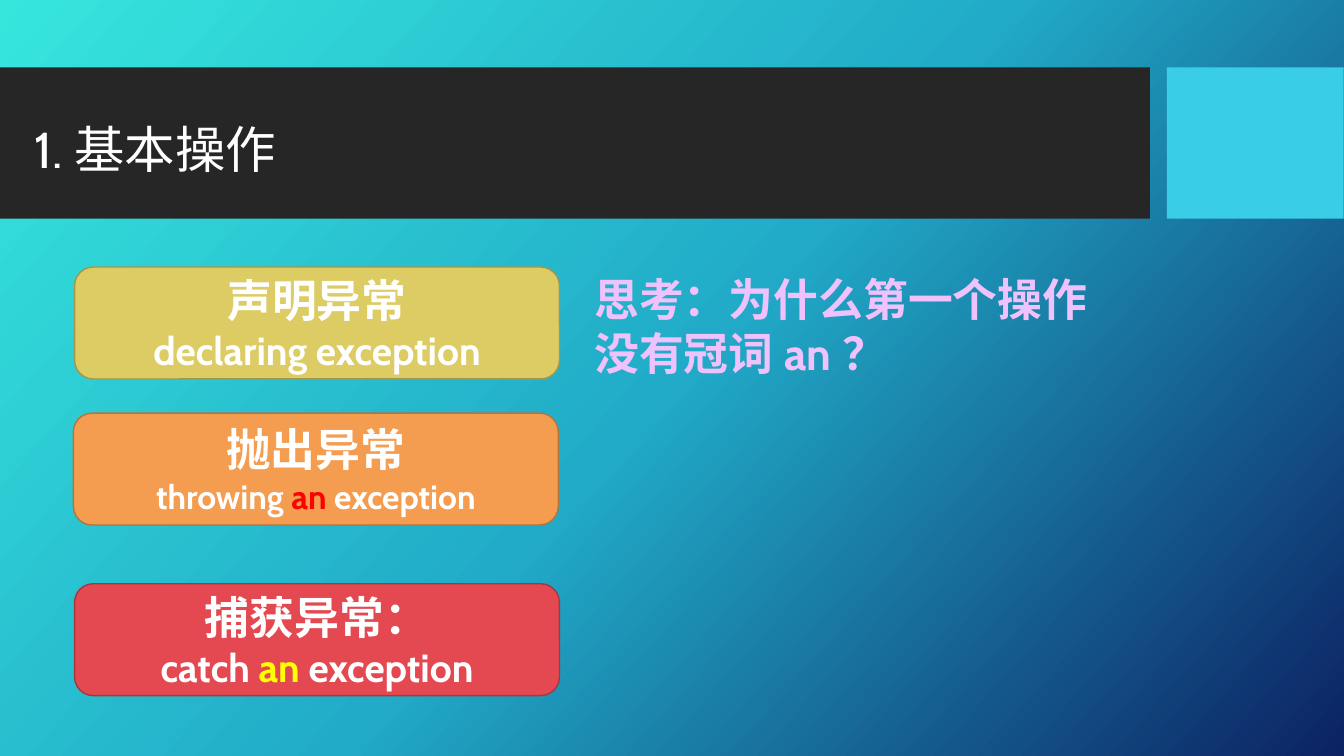
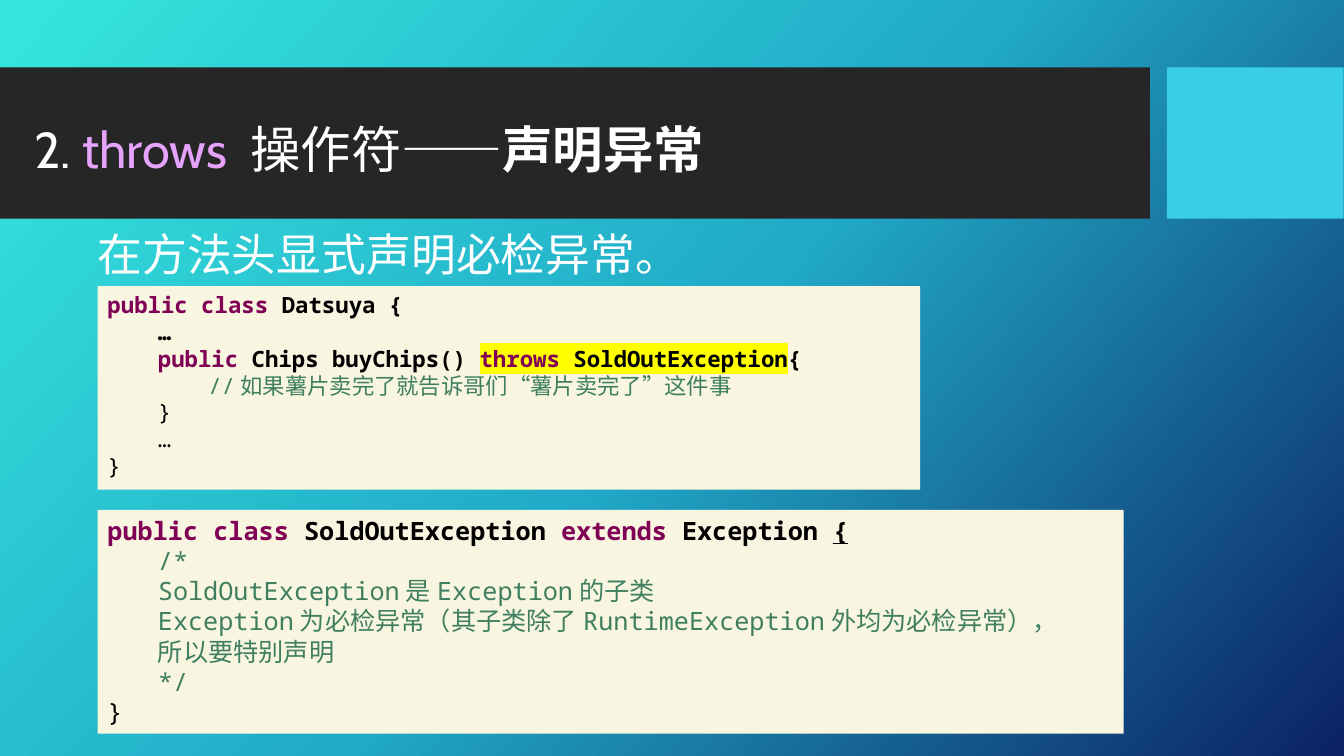
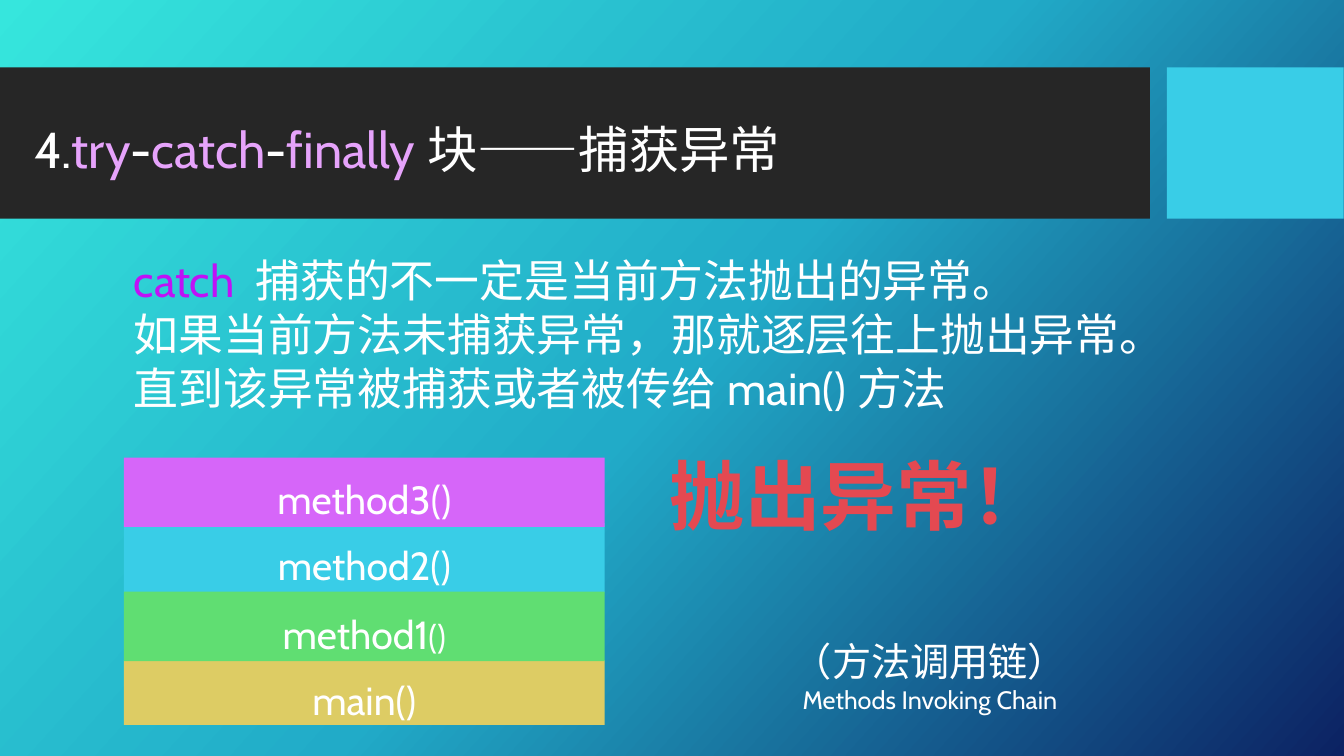
from copy import deepcopy

from pptx import Presentation
from pptx.dml.color import RGBColor
from pptx.enum.lang import MSO_LANGUAGE_ID
from pptx.enum.shapes import MSO_SHAPE
from pptx.enum.text import MSO_ANCHOR, MSO_AUTO_SIZE, PP_ALIGN
from pptx.oxml.ns import qn
from pptx.util import Cm, Pt
from lxml.etree import SubElement

WHITE, BLACK, DARK, CYAN = "FFFFFF", "000000", "262626", "39CDE7"
YELLOW, SAND, RED, CREAM = "FFFF00", "DDCC64", "E44951", "F8F5E0"
LILAC, KEYWORD, COMMENT = "E6A3FB", "7F0055", "3F7F5F"
BACKGROUND = [(0, "36E6DD"), (0.5, "21ABC8"), (1, "0C2263")]
BASE = {"name": "Cabin", "size": Pt(32), "bold": False,
        "language_id": MSO_LANGUAGE_ID.SIMPLIFIED_CHINESE}


def rgb(value):
    return RGBColor.from_string(value)


def place(sp, box):
    for key, value in zip(("left", "top", "width", "height"), box):
        setattr(sp, key, Cm(value))


def highlight(r, color):
    mark = SubElement(r._r.rPr, qn("a:highlight"))
    SubElement(mark, qn("a:srgbClr")).set("val", color)
    r._r.rPr.find(qn("a:solidFill")).addnext(mark)


def write(tf, lines, align=PP_ALIGN.LEFT, spacing=1.0, **style):
    for i, line in enumerate(lines):
        p = tf.add_paragraph() if i else tf.paragraphs[0]
        p.alignment, p.line_spacing = align, spacing
        for text, color, *extra in line:
            r = p.add_run()
            r.text = text
            formats = {**BASE, **style, **(extra[0] if extra else {})}
            marker = formats.pop("highlight", None)
            for key, value in formats.items():
                setattr(r.font, key, value)
            r.font.color.rgb = rgb(color)
            if marker:
                highlight(r, marker)


def add_block(slide, box, fill, line=None, kind=MSO_SHAPE.RECTANGLE):
    sp = slide.shapes.add_shape(kind, *map(Cm, box))
    sp.shadow.inherit = False
    sp.fill.solid()
    sp.fill.fore_color.rgb = rgb(fill)
    if line:
        sp.line.color.rgb = rgb(line)
        sp.line.width = Pt(1)
    else:
        sp.line.fill.background()
    sp.text_frame.word_wrap = True
    sp.text_frame.vertical_anchor = MSO_ANCHOR.MIDDLE
    return sp


def add_text(slide, box, lines, wrap=True, **style):
    tf = slide.shapes.add_textbox(*map(Cm, box)).text_frame
    tf.word_wrap = wrap
    write(tf, lines, **style)


def add_title(slide, runs, width=20.19):
    sp = slide.shapes.title
    place(sp, (0.61, 2.57, width, 2.54))
    sp.text_frame.auto_size = MSO_AUTO_SIZE.NONE
    sp.text_frame.vertical_anchor = MSO_ANCHOR.MIDDLE
    write(sp.text_frame, [runs], spacing=0.9, size=Pt(36))


def add_card(slide, left, top, fill, line, lines):
    sp = add_block(slide, (left, top, 12.22, 2.82), fill, line,
                   MSO_SHAPE.ROUNDED_RECTANGLE)
    write(sp.text_frame, lines, PP_ALIGN.CENTER, bold=True)


def add_code(slide, box, size, lines):
    tf = add_block(slide, box, CREAM).text_frame
    tf.vertical_anchor = MSO_ANCHOR.TOP
    write(tf, [runs for level, runs in lines], name="Noto Sans Mono", size=Pt(size))
    for p, (level, runs) in zip(tf.paragraphs, lines):
        p._p.get_or_add_pPr().set("marL", str(Cm(1.27 * level)))


def paint_background(master):
    fill = master.background.fill
    fill.gradient()
    fill.gradient_angle = 318
    stops = master.element.find(".//" + qn("a:gsLst"))
    stops.append(deepcopy(stops[0]))
    for stop, (position, color) in zip(fill.gradient_stops, BACKGROUND):
        stop.position = position
        stop.color.rgb = rgb(color)


def add_bands(slide):
    bands = [((0, 1.7, 28.98, 3.81), DARK), ((29.41, 1.7, 4.45, 3.81), CYAN)]
    for i, (box, color) in enumerate(bands):
        el = add_block(slide, box, color)._element
        el.nvSpPr.cNvPr.set("id", str(20 + i))
        slide.slide_layout.shapes._spTree.insert(2 + i, el)


def operations(slide):
    add_title(slide, [("1.基本操作", WHITE)])
    large, small = {"size": Pt(28)}, {"size": Pt(24)}
    add_card(slide, 1.88, 6.73, SAND, "A3974A", [
        [("声明异常", WHITE)], [("declaring exception", WHITE, large)]])
    add_card(slide, 1.85, 10.41, "F49D50", "B5743B", [
        [("抛出异常", WHITE)],
        [("throwing ", WHITE, small), ("an", "FF0000", small),
         (" exception", WHITE, small)]])
    add_card(slide, 1.88, 14.71, RED, "A9363C", [
        [("捕获异常：", WHITE)],
        [("catch ", WHITE, large), ("an", YELLOW, large),
         (" exception", WHITE, large)]])
    add_text(slide, (14.73, 6.73, 13.13, 3),
             [[("思考：为什么第一个操作没有冠词an？", "EFC2FD")]], bold=True)


def throws(slide):
    bold = {"bold": True}
    marked = {"bold": True, "highlight": YELLOW}
    add_title(slide, [("2.", WHITE), (" throws ", LILAC), ("操作符——", WHITE),
                      ("声明异常", WHITE, bold)])
    add_text(slide, (2.21, 5.59, 25.5, 1.63), [[("在方法头显式声明必检异常。", WHITE)]])
    add_code(slide, (2.46, 7.21, 20.73, 5.13), 16, [
        (0, [("public class ", KEYWORD, bold), ("Datsuya {", BLACK, bold)]),
        (1, [("…", BLACK, bold)]),
        (1, [("public ", KEYWORD, bold), ("Chips buyChips() ", BLACK, bold),
             ("throws", KEYWORD, marked), (" SoldOutException", BLACK, marked),
             ("{", BLACK, bold)]),
        (2, [("//如果薯片卖完了就告诉哥们“薯片卖完了”这件事", COMMENT)]),
        (1, [("}", BLACK)]),
        (1, [("…", BLACK)]),
        (0, [("}", BLACK)])])
    add_code(slide, (2.46, 12.85, 25.86, 5.64), 18, [
        (0, [("public class ", KEYWORD, bold), ("SoldOutException ", BLACK, bold),
             ("extends", KEYWORD, bold), (" Exception ", BLACK, bold),
             ("{", BLACK, {"bold": True, "underline": True})]),
        (1, [("/*", COMMENT)]),
        (1, [("SoldOutException是Exception的子类", COMMENT)]),
        (1, [("Exception为必检异常（其子类除了RuntimeException外均为必检异常），", COMMENT)]),
        (1, [("所以要特别声明", COMMENT)]),
        (1, [("*/", COMMENT)]),
        (0, [("}", BLACK)])])


def catching(slide):
    add_title(slide, [("4.", WHITE), ("try", LILAC), ("-", WHITE), ("catch", LILAC),
                      ("-", WHITE), ("finally", LILAC), ("块——捕获异常", WHITE)], 23.72)
    add_text(slide, (3.12, 6.25, 28.37, 4.37), [
        [("catch ", "BF12F6"), ("捕获的不一定是当前方法抛出的异常。", WHITE)],
        [("如果当前方法未捕获异常，那就逐层往上抛出异常。", WHITE)],
        [("直到该异常被捕获或者被传给main()方法", WHITE)]])
    calls = [
        (16.64, 1.63, SAND, [("main()", WHITE)]),
        (13.18, 1.75, CYAN, [("method2()", WHITE)]),
        (14.91, 1.75, "60DE72", [("method1", WHITE), ("()", WHITE, {"size": Pt(24)})]),
        (11.53, 1.75, "D666F9", [("method3()", WHITE)])]
    for top, height, color, runs in calls:
        sp = add_block(slide, (3.12, top, 12.12, height), color)
        write(sp.text_frame, [runs], PP_ALIGN.CENTER, 1.3, size=Pt(28))
    add_text(slide, (16.54, 11.2, 10.19, 2.57), [[("抛出异常！", RED)]],
             wrap=False, align=PP_ALIGN.CENTER, size=Pt(54), bold=True)
    add_text(slide, (16.54, 15.93, 13.79, 2.31), [
        [("（方法调用链）", WHITE)],
        [("Methods Invoking Chain", WHITE, {"size": Pt(18)})]],
        align=PP_ALIGN.CENTER, size=Pt(28))


def main():
    prs = Presentation()
    prs.slide_width, prs.slide_height = Cm(33.87), Cm(19.05)
    paint_background(prs.slide_master)
    layout = prs.slide_layouts[5]
    for i, build in enumerate((operations, throws, catching)):
        slide = prs.slides.add_slide(layout)
        if i == 0:
            add_bands(slide)
        build(slide)
    prs.save("out.pptx")


main()
